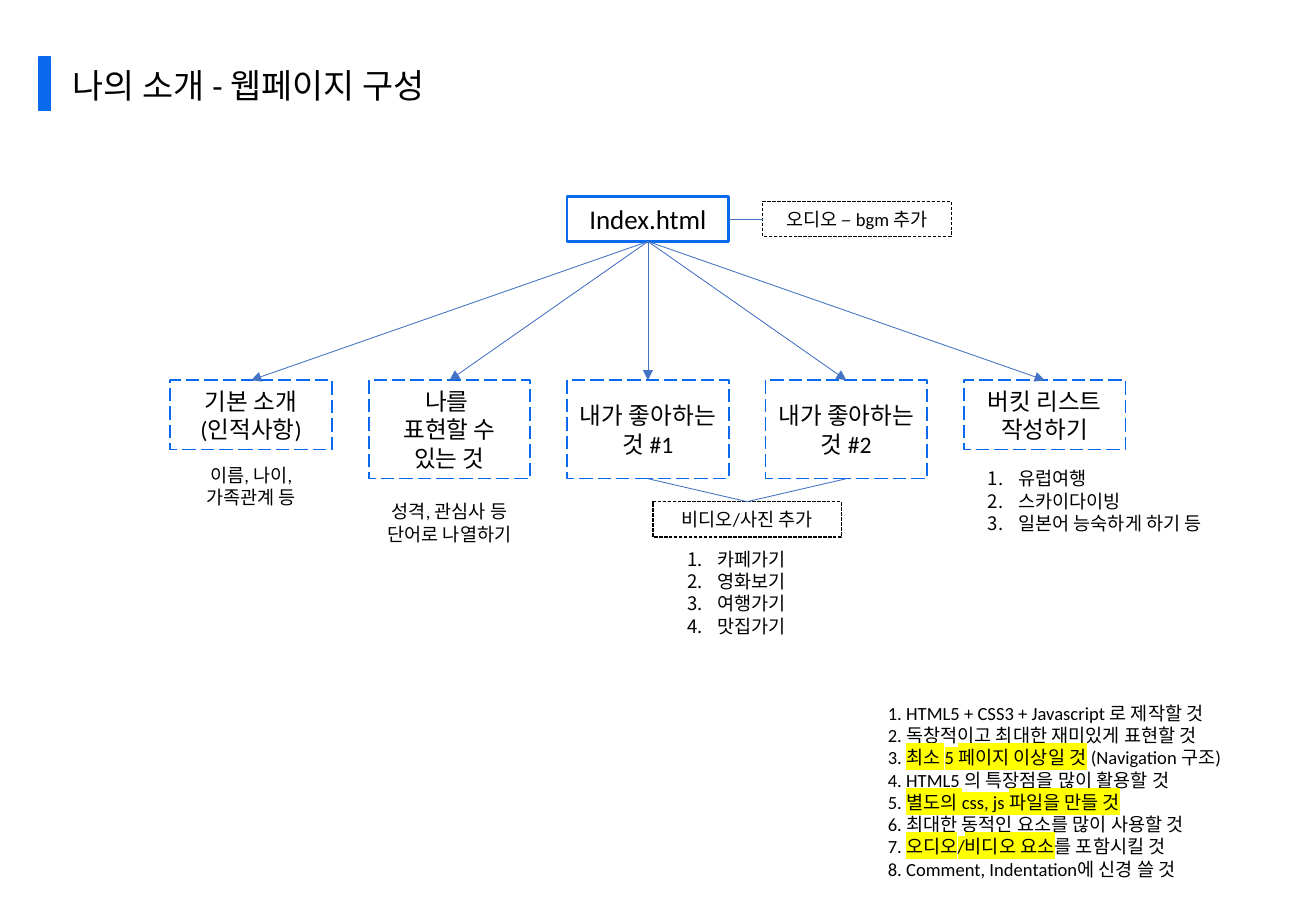
from lxml import etree
from pptx import Presentation
from pptx.dml.color import RGBColor
from pptx.enum import dml, shapes, text
from pptx.oxml import ns
from pptx.util import Cm, Pt

COLORS = {"accent": "096AEE", "link": "4472C4", "ink": "000000", "marker": "FFFF00"}
FONT = "Calibri"
BOTTOM, TOP, LEFT, RIGHT = 2, 0, 1, 3

PAGES = [
    (["기본 소개", "(인적사항)"], 1.45),
    (["나를 ", "표현할 수 있는 것"], 2.06),
    (["내가 좋아하는 ", "것 #1"], 2.06),
    (["내가 좋아하는 ", "것 #2"], 2.06),
    (["버킷 리스트", "작성하기"], 1.45),
]
FAVORITES = ["카페가기", "영화보기", "여행가기", "맛집가기"]
BUCKET_LIST = ["유럽여행", "스카이다이빙", "일본어 능숙하게 하기 등"]
REQUIREMENTS = [
    ["1. HTML5 + CSS3 + Javascript 로 제작할 것"],
    ["2. 독창적이고 최대한 재미있게 표현할 것"],
    ["3. ", "최소 5 페이지 이상일 것", " (Navigation 구조)"],
    ["4. HTML5 의 특장점을 많이 활용할 것"],
    ["5. ", "별도의 css, js 파일을 만들 것"],
    ["6. 최대한 동적인 요소를 많이 사용할 것"],
    ["7. ", "오디오/비디오 요소", "를 포함시킬 것"],
    ["8. Comment, Indentation에 신경 쓸 것"],
]


def color(name):
    return RGBColor.from_string(COLORS[name])


def highlight(run):
    mark = etree.SubElement(run.font._element, ns.qn("a:highlight"))
    etree.SubElement(mark, ns.qn("a:srgbClr"), val=COLORS["marker"])


def number(paragraph):
    properties = paragraph._p.get_or_add_pPr()
    properties.set("marL", str(Cm(0.635)))
    properties.set("indent", str(-Cm(0.635)))
    bullet = etree.Element(ns.qn("a:buAutoNum"), type="arabicPeriod")
    properties.insert(0, bullet)


def write(shape, lines, size, centered=True, numbered=False):
    frame = shape.text_frame
    frame.word_wrap = True
    frame.auto_size = text.MSO_AUTO_SIZE.SHAPE_TO_FIT_TEXT
    for index, line in enumerate(lines):
        paragraph = frame.add_paragraph() if index else frame.paragraphs[0]
        paragraph.alignment = text.PP_ALIGN.CENTER if centered else text.PP_ALIGN.LEFT
        paragraph.font.size = Pt(size)
        paragraph.font.name = FONT
        paragraph.font.color.rgb = color("ink")
        if numbered:
            number(paragraph)
        parts = [line] if isinstance(line, str) else line
        for position, part in enumerate(parts):
            run = paragraph.add_run()
            run.text = part
            if position == 1:
                highlight(run)


def add_text(slide, box, lines, size=11, centered=True, numbered=False):
    shape = slide.shapes.add_textbox(*map(Cm, box))
    write(shape, lines, size, centered, numbered)


def add_box(slide, box, lines, size, line="accent", width=1, dash=None):
    shape = slide.shapes.add_shape(shapes.MSO_SHAPE.RECTANGLE, *map(Cm, box))
    shape.shadow.inherit = False
    shape.fill.background()
    shape.line.color.rgb = color(line)
    shape.line.width = Pt(width)
    if dash:
        shape.line.dash_style = dash
    write(shape, lines, size)
    return shape


def add_media_box(slide, left, top, label):
    return add_box(slide, (left, top, 3.94, 0.74), [label], 11, "ink", 0.75,
                   dml.MSO_LINE.SQUARE_DOT)


def link(slide, start, start_site, end, end_site, arrow=False):
    connector = slide.shapes.add_connector(shapes.MSO_CONNECTOR.STRAIGHT, 0, 0, 0, 0)
    connector.begin_connect(start, start_site)
    connector.end_connect(end, end_site)
    connector.line.color.rgb = color("link")
    connector.line.width = Pt(0.5)
    if arrow:
        etree.SubElement(connector.line._get_or_add_ln(), ns.qn("a:tailEnd"), type="triangle")
    etree.SubElement(connector._element.spPr, ns.qn("a:effectLst"))


def add_title(slide, left, top, width, height):
    add_text(slide, (left + 0.46, top + 0.03, width, height),
             ["나의 소개 - 웹페이지 구성"], 20, centered=False)
    bar = slide.shapes.add_shape(shapes.MSO_SHAPE.RECTANGLE,
                                 Cm(left), Cm(top), Cm(0.25), Cm(height))
    bar.shadow.inherit = False
    bar.fill.solid()
    bar.fill.fore_color.rgb = color("accent")
    bar.line.color.rgb = color("accent")
    bar.line.width = Pt(1)


def add_site_map(slide, left, top, width):
    page_width = 3.38
    pitch = (width - page_width) / (len(PAGES) - 1)
    lefts = [left + index * pitch for index in range(len(PAGES))]
    page_top = top + 3.84

    root = add_box(slide, (lefts[2], top, page_width, 0.94), ["Index.html"], 16, width=1.5)
    audio = add_media_box(slide, lefts[2] + 4.09, top + 0.1, "오디오 – bgm 추가")
    link(slide, root, RIGHT, audio, LEFT)

    pages = []
    for page_left, (lines, height) in zip(lefts, PAGES):
        page = add_box(slide, (page_left, page_top, page_width, height), lines, 14,
                       dash=dml.MSO_LINE.LONG_DASH)
        link(slide, root, BOTTOM, page, TOP, arrow=True)
        pages.append(page)

    media_left = (lefts[2] + lefts[3] + page_width - 3.94) / 2
    media = add_media_box(slide, media_left, page_top + 2.54, "비디오/사진 추가")
    for page in pages[2:4]:
        link(slide, page, BOTTOM, media, TOP)

    add_text(slide, (lefts[0] - 0.15, page_top + 1.63, 3.68, 1.19),
             ["이름, 나이, 가족관계 등"])
    add_text(slide, (lefts[1] - 0.15, page_top + 2.39, 3.68, 1.19),
             ["성격, 관심사 등 단어로 나열하기"])
    add_text(slide, (media_left + 0.3, page_top + 3.38, 2.9, 2.62),
             FAVORITES, numbered=True)
    add_text(slide, (lefts[4] + 0.25, page_top + 1.7, 5.82, 1.68),
             BUCKET_LIST, centered=False, numbered=True)


def add_requirements(slide, left, top, width, height):
    add_text(slide, (left, top, width, height), REQUIREMENTS, centered=False)


def main():
    presentation = Presentation()
    presentation.slide_width = Cm(27.51)
    presentation.slide_height = Cm(19.05)
    slide = presentation.slides.add_slide(presentation.slide_layouts[6])
    add_title(slide, 0.81, 1.19, 24.94, 1.12)
    add_site_map(slide, 3.56, 4.11, 19.97)
    add_requirements(slide, 18.31, 14.55, 9.19, 4.5)
    presentation.save("out.pptx")


if __name__ == "__main__":
    main()
